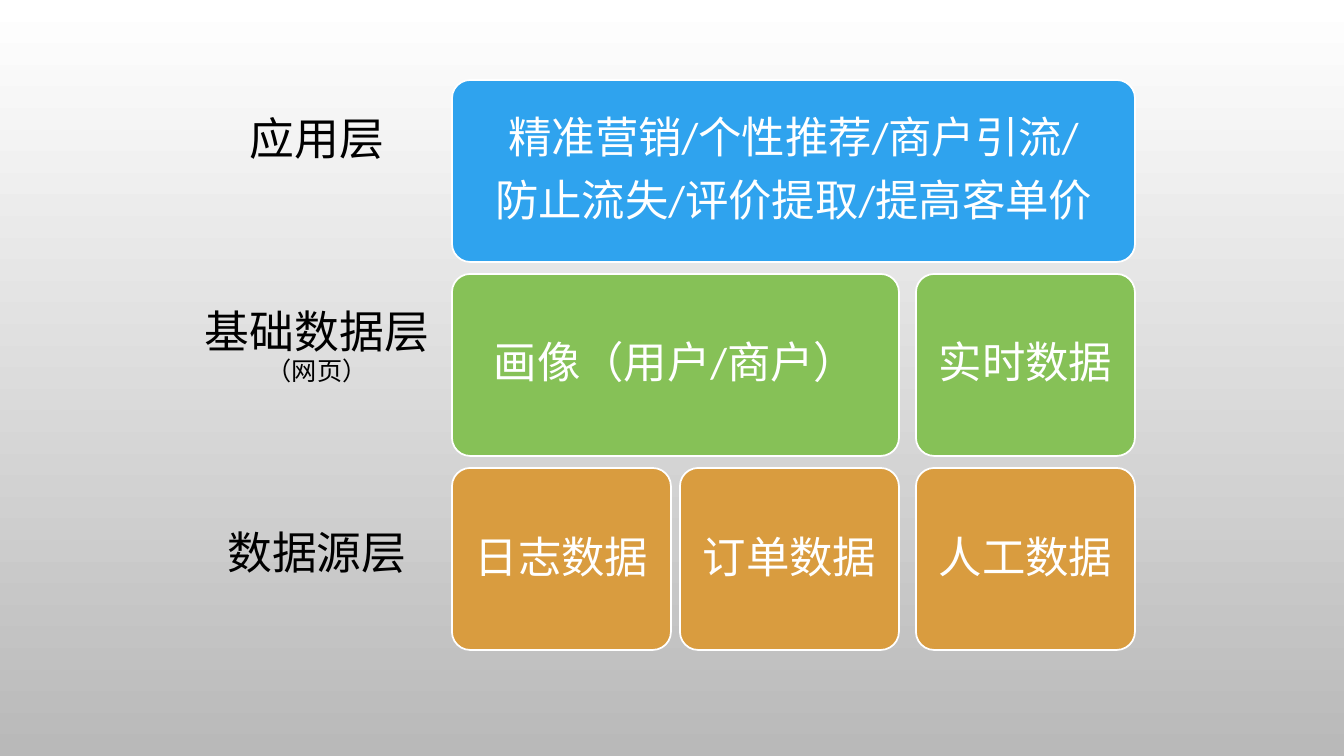
from pptx import Presentation
from pptx.dml.color import RGBColor
from pptx.enum.shapes import MSO_SHAPE
from pptx.enum.text import MSO_ANCHOR, PP_ALIGN
from pptx.util import Emu, Pt

ROUNDED = MSO_SHAPE.ROUNDED_RECTANGLE
MIDDLE = MSO_ANCHOR.MIDDLE
CENTER = PP_ALIGN.CENTER

PX = 914400 / 100.8
FONT = "Calibri"
WHITE, BLACK, GREY = "FFFFFF", "000000", "B9B9B9"
BLUE, GREEN, ORANGE = "2FA3EE", "86C157", "D99C3F"

COLUMN_LEFTS = [452, 680, 916]
COLUMN_WIDTH = 219
ROW_TOP, ROW_PITCH, ROW_HEIGHT = 80, 194, 182
LABEL_LEFT, LABEL_WIDTH, LABEL_HEIGHT = 183, 268, 100
CARD_INSET = 13


def px(*lengths):
    return [Emu(round(length * PX)) for length in lengths]


def write_lines(box, lines, color, inset, gap):
    """Fill a box with centred lines, each given as (text, point size)."""
    frame = box.text_frame
    frame.word_wrap = True
    frame.vertical_anchor = MIDDLE
    (frame.margin_left, frame.margin_top,
     frame.margin_right, frame.margin_bottom) = px(*[inset] * 4)
    for index, (text, size) in enumerate(lines):
        para = frame.paragraphs[0] if index == 0 else frame.add_paragraph()
        para.alignment = CENTER
        para.line_spacing = 0.9
        para.space_before = Pt(gap if index else 0)
        span = para.add_run()
        span.text = text
        span.font.name = FONT
        span.font.size = Pt(size)
        span.font.color.rgb = RGBColor.from_string(color)


deck = Presentation()
deck.slide_width, deck.slide_height = px(1344, 756)
page = deck.slides.add_slide(deck.slide_layouts[6])

backdrop = page.background.fill
backdrop.gradient()
backdrop.gradient_angle = 270
for stop, color in zip(backdrop.gradient_stops, [WHITE, GREY]):
    stop.color.rgb = RGBColor.from_string(color)

# Layer labels: vertical centre, lines
labels = [
    (141, [("应用层", 32)]),
    (348, [("基础数据层", 32), ("（网页）", 18)]),
    (555, [("数据源层", 32)]),
]
for middle, lines in labels:
    box = page.shapes.add_textbox(
        *px(LABEL_LEFT, middle - LABEL_HEIGHT / 2, LABEL_WIDTH, LABEL_HEIGHT))
    write_lines(box, lines, BLACK, 0, 0)

# Layer cards: row, first column, last column, colour, lines
cards = [
    (0, 0, 2, BLUE, ["精准营销/个性推荐/商户引流/", "防止流失/评价提取/提高客单价"]),
    (1, 0, 1, GREEN, ["画像（用户/商户）"]),
    (1, 2, 2, GREEN, ["实时数据"]),
    (2, 0, 0, ORANGE, ["日志数据"]),
    (2, 1, 1, ORANGE, ["订单数据"]),
    (2, 2, 2, ORANGE, ["人工数据"]),
]
for row, first, last, color, texts in cards:
    left = COLUMN_LEFTS[first]
    width = COLUMN_LEFTS[last] + COLUMN_WIDTH - left
    card = page.shapes.add_shape(
        ROUNDED, *px(left, ROW_TOP + row * ROW_PITCH, width, ROW_HEIGHT))
    card.adjustments[0] = 0.1
    card.shadow.inherit = False
    card.fill.solid()
    card.fill.fore_color.rgb = RGBColor.from_string(color)
    card.line.color.rgb = RGBColor.from_string(WHITE)
    card.line.width = Pt(1.25)
    write_lines(card, [(text, 31) for text in texts], WHITE, CARD_INSET, 11)

deck.save("out.pptx")
